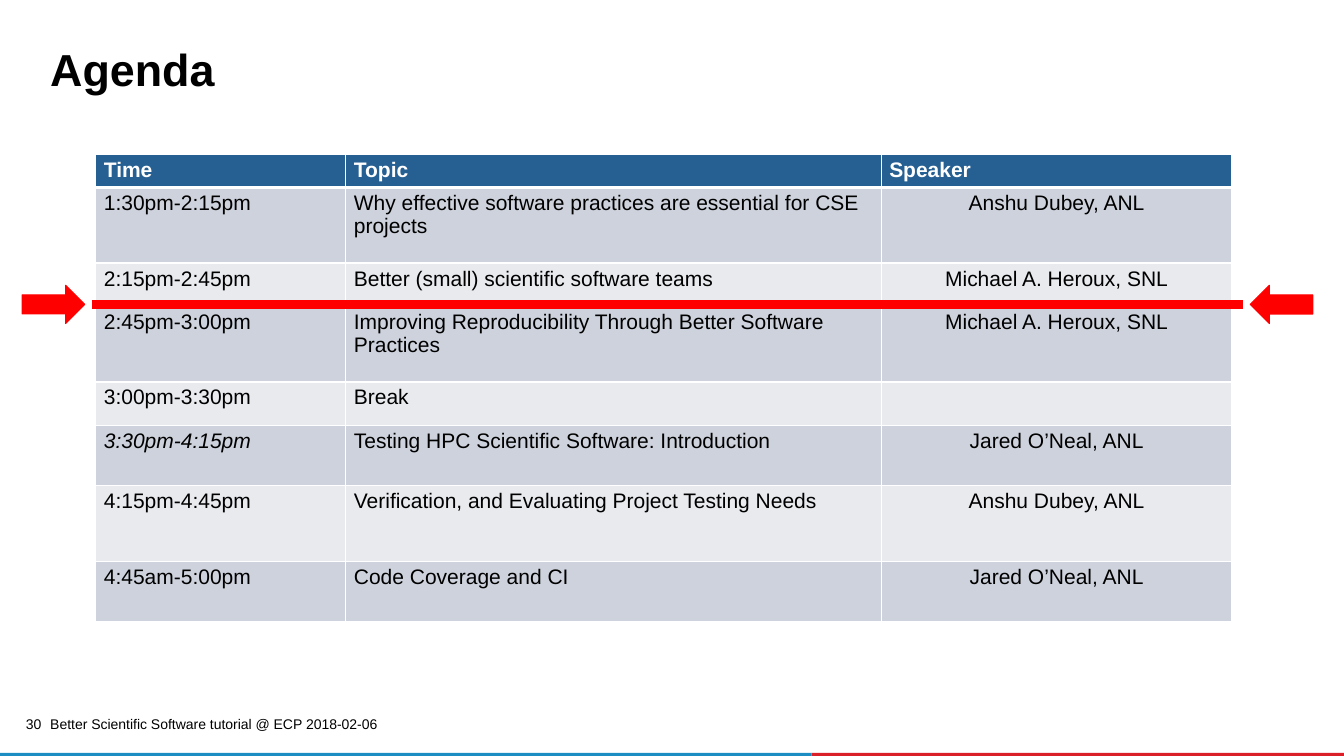
from lxml import etree
from pptx import Presentation
from pptx.dml.color import RGBColor
from pptx.enum.shapes import MSO_CONNECTOR, MSO_SHAPE
from pptx.enum.text import MSO_ANCHOR, PP_ALIGN
from pptx.oxml.ns import qn
from pptx.util import Inches, Pt

LEFT, CENTER, RIGHT = PP_ALIGN.LEFT, PP_ALIGN.CENTER, PP_ALIGN.RIGHT
TOP, MIDDLE = MSO_ANCHOR.TOP, MSO_ANCHOR.MIDDLE
RECTANGLE, RIGHT_ARROW = MSO_SHAPE.RECTANGLE, MSO_SHAPE.RIGHT_ARROW
STRAIGHT = MSO_CONNECTOR.STRAIGHT

BLACK = RGBColor(0x00, 0x00, 0x00)
WHITE = RGBColor(0xFF, 0xFF, 0xFF)
HEADER_BLUE = RGBColor(0x26, 0x60, 0x92)
BAND_DARK = RGBColor(0xCD, 0xD2, 0xDC)
BAND_LIGHT = RGBColor(0xE8, 0xEA, 0xEE)
MARKER_RED = RGBColor(0xFF, 0x00, 0x00)
STRIPE_BLUE = RGBColor(0x1B, 0x8D, 0xC3)
STRIPE_RED = RGBColor(0xDA, 0x1F, 0x28)

SLIDE_WIDTH, SLIDE_HEIGHT = 13.33, 7.5
COLUMN_WIDTHS = (2.48, 5.31, 3.48)
BREAK_TIME_ITALIC = "3:30pm-4:15pm"
AGENDA = (
    (0.31, "Time", "Topic", "Speaker"),
    (0.75, "1:30pm-2:15pm", "Why effective software practices are essential for CSE projects",
     "Anshu Dubey, ANL"),
    (0.43, "2:15pm-2:45pm", "Better (small) scientific software teams", "Michael A. Heroux, SNL"),
    (0.75, "2:45pm-3:00pm", "Improving Reproducibility Through Better Software Practices",
     "Michael A. Heroux, SNL"),
    (0.43, "3:00pm-3:30pm", "Break", ""),
    (0.6, "3:30pm-4:15pm", "Testing HPC Scientific Software: Introduction", "Jared O’Neal, ANL"),
    (0.75, "4:15pm-4:45pm", "Verification, and Evaluating Project Testing Needs",
     "Anshu Dubey, ANL"),
    (0.6, "4:45am-5:00pm", "Code Coverage and CI", "Jared O’Neal, ANL"),
)


def write(frame, text, size, color=BLACK, bold=False, italic=False, align=LEFT, spacing=None):
    """Put one formatted paragraph into a text frame."""
    paragraph = frame.paragraphs[0]
    paragraph.alignment = align
    paragraph.line_spacing = spacing
    run = paragraph.add_run()
    run.text = text
    font = run.font
    font.name, font.size, font.bold, font.italic = "Arial", Pt(size), bold, italic
    font.color.rgb = color


def add_label(slide, box, text, size, margins=(0.1, 0.05), anchor=TOP, **text_format):
    """Add a wrapping text box at the given box."""
    frame = slide.shapes.add_textbox(*map(Inches, box)).text_frame
    frame.word_wrap = True
    frame.vertical_anchor = anchor
    frame.margin_left = frame.margin_right = Inches(margins[0])
    frame.margin_top = frame.margin_bottom = Inches(margins[1])
    write(frame, text, size, **text_format)


def add_solid(slide, preset, box, color):
    """Add a flat filled preset shape without an outline."""
    shape = slide.shapes.add_shape(preset, *map(Inches, box))
    shape.shadow.inherit = False
    shape.fill.solid()
    shape.fill.fore_color.rgb = color
    shape.line.fill.background()
    return shape


def set_borders(cell, bottom_width):
    """Give a cell thin white borders with a chosen bottom width."""
    properties = cell._tc.get_or_add_tcPr()
    for side, width in (("lnL", 1), ("lnR", 1), ("lnT", 1), ("lnB", bottom_width)):
        border = etree.SubElement(properties, qn(f"a:{side}"), w=str(Pt(width)))
        fill = etree.SubElement(border, qn("a:solidFill"))
        etree.SubElement(fill, qn("a:srgbClr"), val=str(WHITE))


def add_footer(slide, left, top, width):
    """Draw the slide number, the event line and the two-colour stripe."""
    add_label(slide, (left + 0.4, top, 3.63, 0.2),
              "Better Scientific Software tutorial @ ECP 2018-02-06", 10, anchor=MIDDLE)
    add_label(slide, (left + 0.18, top + 0.04, 0.23, 0.17), "30", 10, margins=(0, 0),
              align=RIGHT, spacing=0.9)
    split = 8.05
    stripe_top = top + 0.39
    add_solid(slide, RECTANGLE, (left + split, stripe_top, width - split, 0.03), STRIPE_RED)
    add_solid(slide, RECTANGLE, (left, stripe_top, split, 0.03), STRIPE_BLUE)


def add_agenda(slide, left, top):
    """Build the agenda table with a header and alternating bands."""
    heights = [row[0] for row in AGENDA]
    table = slide.shapes.add_table(
        len(AGENDA), len(COLUMN_WIDTHS), Inches(left), Inches(top),
        Inches(sum(COLUMN_WIDTHS)), Inches(sum(heights))).table
    for column, width in zip(table.columns, COLUMN_WIDTHS):
        column.width = Inches(width)
    for row_index, (height, *entries) in enumerate(AGENDA):
        table.rows[row_index].height = Inches(height)
        header = row_index == 0
        band = HEADER_BLUE if header else BAND_DARK if row_index % 2 else BAND_LIGHT
        for column_index, entry in enumerate(entries):
            cell = table.cell(row_index, column_index)
            cell.margin_left = cell.margin_right = Inches(0.08)
            cell.margin_top = cell.margin_bottom = Inches(0.04)
            set_borders(cell, 3 if header else 1)
            cell.fill.solid()
            cell.fill.fore_color.rgb = band
            if entry:
                write(cell.text_frame, entry, 15, color=WHITE if header else BLACK, bold=header,
                      italic=entry == BREAK_TIME_ITALIC,
                      align=CENTER if column_index == 2 and not header else LEFT)


def add_progress_marker(slide, left, center, width):
    """Draw the red line across the table between two inward arrows."""
    arrow_width, arrow_height, inset = 0.62, 0.38, 0.69
    line = slide.shapes.add_connector(STRAIGHT, Inches(left + inset), Inches(center),
                                      Inches(left + width - inset), Inches(center))
    line.line.color.rgb = MARKER_RED
    line.line.width = Pt(6)
    etree.SubElement(line._element.spPr, qn("a:effectLst"))
    for arrow_left, rotation in ((left, 0), (left + width - arrow_width, 180)):
        arrow = add_solid(slide, RIGHT_ARROW, (arrow_left, center - arrow_height / 2,
                                               arrow_width, arrow_height), MARKER_RED)
        arrow.rotation = rotation
        arrow.line.color.rgb = MARKER_RED
        arrow.line.width = Pt(0.75)


def main():
    """Build the agenda slide and save it."""
    deck = Presentation()
    deck.slide_width, deck.slide_height = Inches(SLIDE_WIDTH), Inches(SLIDE_HEIGHT)
    slide = deck.slides.add_slide(deck.slide_layouts[6])
    add_footer(slide, 0, 7.08, SLIDE_WIDTH)
    add_label(slide, (0.4, 0.45, 12.44, 0.56), "Agenda", 32, bold=True, spacing=0.85)
    add_agenda(slide, 0.95, 1.53)
    add_progress_marker(slide, 0.22, 3.02, 12.8)
    deck.save("out.pptx")


if __name__ == "__main__":
    main()
